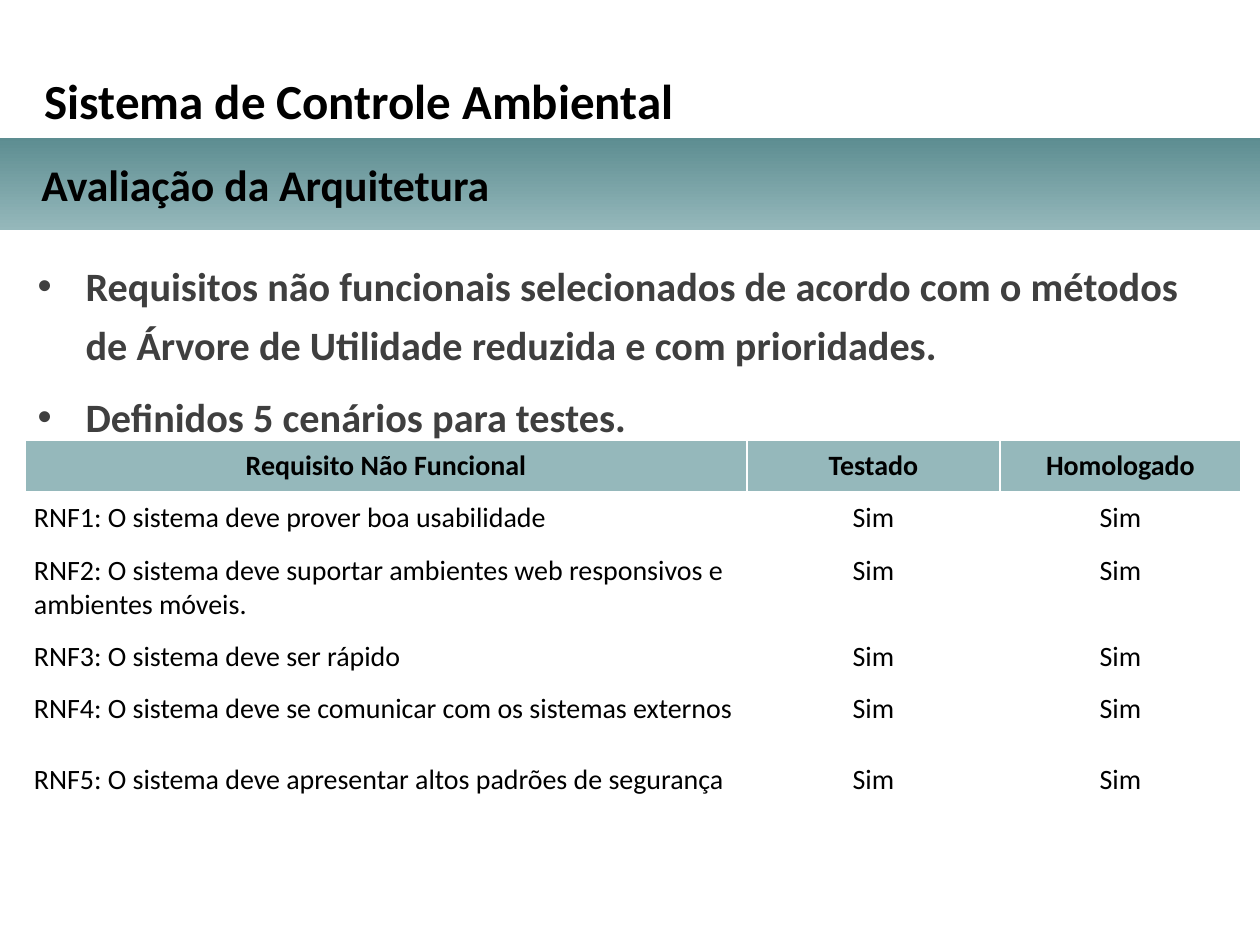
"""Builds the architecture evaluation slide with its requirements table."""
from dataclasses import dataclass

from lxml import etree
from pptx import Presentation
from pptx.dml.color import RGBColor
from pptx.enum.shapes import MSO_SHAPE
from pptx.enum.text import MSO_ANCHOR, MSO_AUTO_SIZE, PP_ALIGN
from pptx.oxml.ns import qn
from pptx.util import Emu, Pt

RECTANGLE = MSO_SHAPE.RECTANGLE
TOP, MIDDLE = MSO_ANCHOR.TOP, MSO_ANCHOR.MIDDLE
LEFT, CENTER = PP_ALIGN.LEFT, PP_ALIGN.CENTER
NO_FIT = MSO_AUTO_SIZE.NONE
SCALE = 914400 // 126


@dataclass(frozen=True)
class Theme:
    """Colours, font and type sizes of the slide."""
    font: str = "Calibri"
    ink: str = "000000"
    body_ink: str = "3F3F3F"
    light: str = "95B8BB"
    dark: str = "5D8D91"
    border: str = "FFFFFF"
    title_size: int = 28
    subtitle_size: int = 25
    body_size: int = 23
    table_size: int = 16


def px(length):
    """Turns pixels into EMU."""
    return Emu(length * SCALE)


def assign(target, values):
    """Sets attributes from a dict of format values."""
    for name, value in values.items():
        setattr(target, name, value)


class SlideBuilder:
    """Holds the style and the current slide."""

    def __init__(self, slide, theme):
        self.slide = slide
        self.theme = theme

    def place(self, shape, left, top, width, height):
        """Moves and sizes a shape."""
        assign(shape, {"left": px(left), "top": px(top),
                       "width": px(width), "height": px(height)})

    def add_span(self, para, text, size, color, bold=True, **layout):
        """Adds one formatted run to a paragraph."""
        assign(para, layout)
        span = para.add_run()
        span.text = text
        assign(span.font, {"name": self.theme.font, "size": Pt(size), "bold": bold})
        span.font.color.rgb = RGBColor.from_string(color)

    def frame(self, shape):
        """Prepares a wrapped, top-anchored text frame."""
        assign(shape.text_frame, {"word_wrap": True, "auto_size": NO_FIT,
                                  "vertical_anchor": TOP})
        return shape.text_frame

    def band(self, *bounds):
        """Adds the gradient band."""
        band = self.slide.shapes.add_shape(RECTANGLE, *map(px, bounds))
        band.shadow.inherit = False
        band.line.fill.background()
        band.fill.gradient()
        band.fill.gradient_angle = 90
        for stop, color in zip(band.fill.gradient_stops, (self.theme.light, self.theme.dark)):
            stop.color.rgb = RGBColor.from_string(color)

    def title(self, text, *bounds):
        """Fills the title placeholder."""
        title = self.slide.shapes.title
        self.place(title, *bounds)
        self.add_span(self.frame(title).paragraphs[0], text,
                      self.theme.title_size, self.theme.ink, alignment=LEFT)

    def subtitle(self, text, *bounds):
        """Adds the subtitle text box."""
        box = self.slide.shapes.add_textbox(*map(px, bounds))
        self.add_span(self.frame(box).paragraphs[0], text,
                      self.theme.subtitle_size, self.theme.ink)

    def bullets(self, items, indent, *bounds):
        """Fills the body placeholder with a bulleted list."""
        body = self.slide.placeholders[1]
        self.place(body, *bounds)
        frame = self.frame(body)
        for index, item in enumerate(items):
            para = frame.add_paragraph() if index else frame.paragraphs[0]
            self.add_span(para, item, self.theme.body_size, self.theme.body_ink,
                          line_spacing=1.22, space_before=Pt(8 if index else 0))
            properties = para._p.get_or_add_pPr()
            properties.set("marL", str(px(indent)))
            properties.set("indent", str(px(-indent)))

    def borders(self, cell):
        """Draws thin borders on all sides of a cell."""
        properties = cell._tc.get_or_add_tcPr()
        for index, side in enumerate(("lnL", "lnR", "lnT", "lnB")):
            line = etree.Element(qn(f"a:{side}"), w=str(Pt(1)))
            fill = etree.SubElement(line, qn("a:solidFill"))
            etree.SubElement(fill, qn("a:srgbClr"), val=self.theme.border)
            properties.insert(index, line)

    def table(self, rows, left, top, widths, heights):
        """Adds a table whose first row is a filled header."""
        table = self.slide.shapes.add_table(
            len(rows), len(widths), px(left), px(top),
            px(sum(widths)), px(sum(heights))).table
        assign(table, {"first_row": False, "horz_banding": False})
        for column, width in zip(table.columns, widths):
            column.width = px(width)
        for row_index, (row, height) in enumerate(zip(rows, heights)):
            table.rows[row_index].height = px(height)
            header = row_index == 0
            for column_index, text in enumerate(row):
                cell = table.cell(row_index, column_index)
                assign(cell, {f"margin_{side}": px(9)
                              for side in ("left", "top", "right", "bottom")})
                cell.vertical_anchor = MIDDLE if header else TOP
                if header:
                    cell.fill.solid()
                    cell.fill.fore_color.rgb = RGBColor.from_string(self.theme.light)
                else:
                    cell.fill.background()
                self.borders(cell)
                self.add_span(cell.text_frame.paragraphs[0], text,
                              self.theme.table_size, self.theme.ink, bold=header,
                              alignment=CENTER if header or column_index else LEFT)


REQUIREMENTS = (
    "RNF1: O sistema deve prover boa usabilidade",
    "RNF2: O sistema deve suportar ambientes web responsivos e ambientes móveis.",
    "RNF3: O sistema deve ser rápido",
    "RNF4: O sistema deve se comunicar com os sistemas externos",
    "RNF5: O sistema deve apresentar altos padrões de segurança",
)

deck = Presentation()
assign(deck, {"slide_width": px(1260), "slide_height": px(945)})
page = SlideBuilder(deck.slides.add_slide(deck.slide_layouts[1]), Theme())
page.band(0, 138, 1260, 92)
page.subtitle("Avaliação da Arquitetura", 29, 152, 1203, 66)
page.bullets(
    ("Requisitos não funcionais selecionados de acordo com o métodos "
     "de Árvore de Utilidade reduzida e com prioridades.",
     "Definidos 5 cenários para testes."),
    48, 25, 244, 1216, 197)
page.title("Sistema de Controle Ambiental", 32, 64, 1216, 63)
page.table(
    [("Requisito Não Funcional", "Testado", "Homologado")]
    + [(requirement, "Sim", "Sim") for requirement in REQUIREMENTS],
    25, 440, (722, 253, 241), (49, 49, 82, 49, 71, 71))
deck.save("out.pptx")
